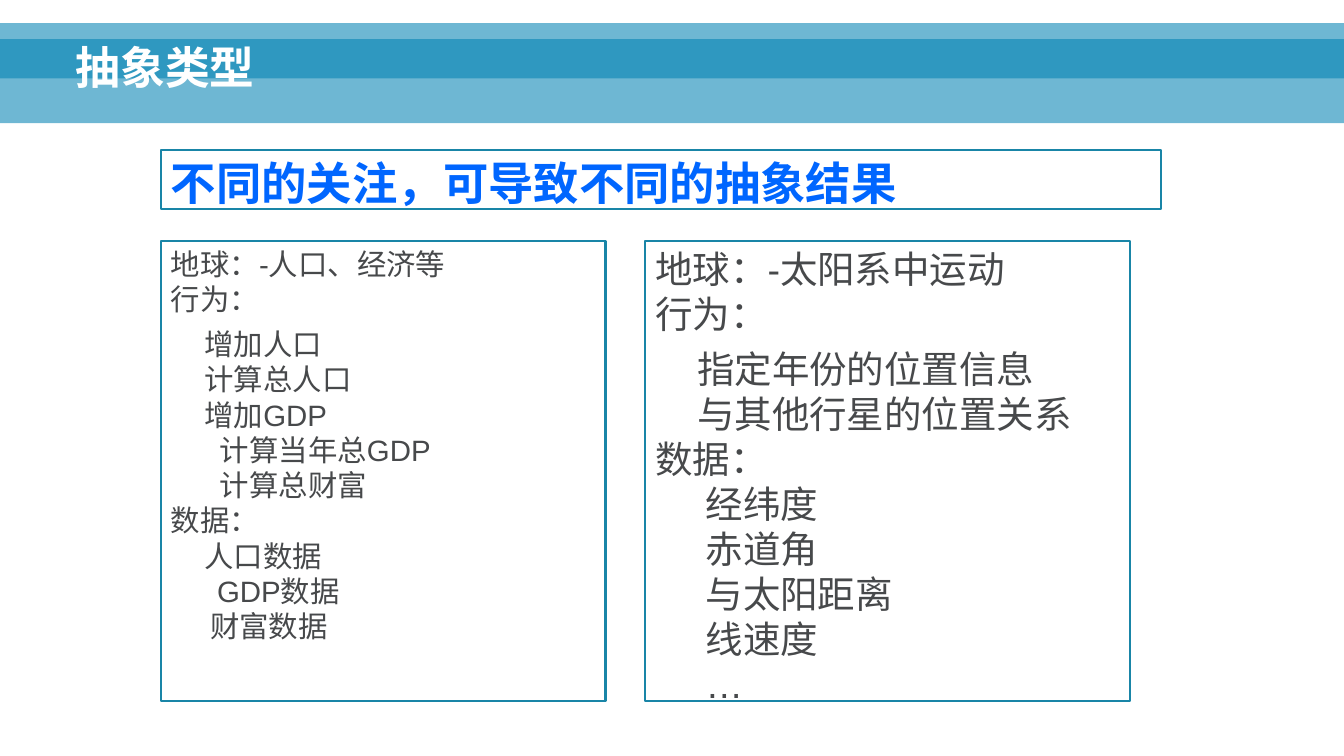
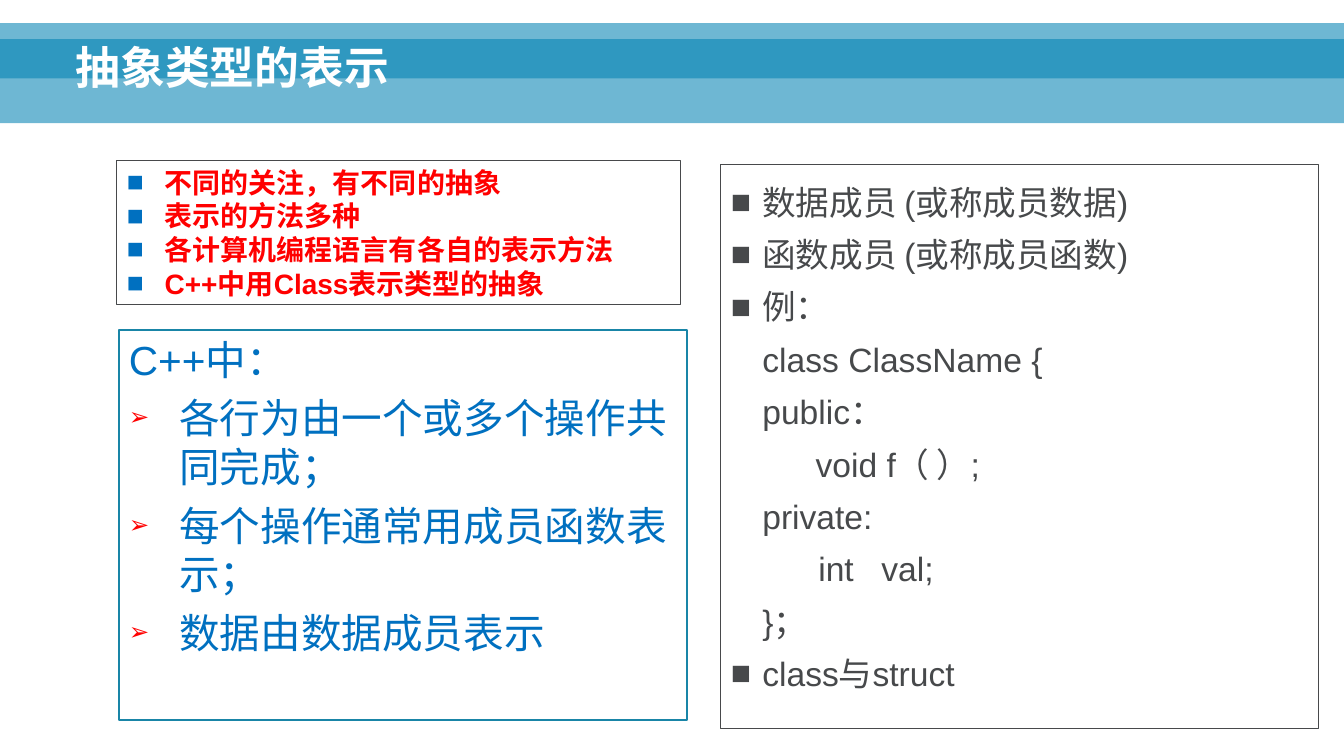
from lxml.etree import SubElement
from pptx import Presentation
from pptx.dml.color import RGBColor
from pptx.enum.shapes import MSO_SHAPE
from pptx.enum.text import MSO_ANCHOR
from pptx.oxml.ns import qn
from pptx.util import Pt

FONT = "Arial"
BAND = "0082B3"
WHITE = "FFFFFF"
TEAL = "1985A7"
GREY = "47494B"
BLUE = "0070C0"
BRIGHT = "0066FF"
RED = "FF0000"
WIDTH, HEIGHT = 960, 540


def rgb(value):
    return RGBColor.from_string(value)


def add_band(s, top, height):
    sp = s.shapes.add_shape(MSO_SHAPE.RECTANGLE, 0, Pt(top), Pt(WIDTH), Pt(height))
    sp.shadow.inherit = False
    sp.line.fill.background()
    sp.fill.solid()
    sp.fill.fore_color.rgb = rgb(BAND)
    color = sp.fill._xPr.find(qn("a:solidFill"))[0]
    SubElement(color, qn("a:alpha"), val="57000")


def add_box(s, box, line=None, weight=1.5):
    sp = s.shapes.add_textbox(*[Pt(v) for v in box])
    sp.text_frame.word_wrap = True
    if line:
        sp.line.color.rgb = rgb(line)
        sp.line.width = Pt(weight)
    return sp.text_frame


def add_run(p, text, size, color, bold=False, spacing=0):
    r = p.add_run()
    r.text = text
    r.font.name = FONT
    r.font.size = Pt(size)
    r.font.bold = bold
    r.font.color.rgb = rgb(color)
    if spacing:
        r._r.get_or_add_rPr().set("spc", str(spacing * 100))


def add_paragraph(tf, indent=0, before=0, spacing=None):
    p = tf.paragraphs[0] if not tf.paragraphs[0].runs else tf.add_paragraph()
    p.space_before = Pt(before)
    if spacing:
        p.line_spacing = spacing
    p._p.get_or_add_pPr().set("marL", str(Pt(indent)))
    return p


def add_bullet(p, char, hang, color=None, percent=100):
    pPr = p._p.get_or_add_pPr()
    pPr.set("indent", str(-Pt(hang)))
    if color:
        SubElement(SubElement(pPr, qn("a:buClr")), qn("a:srgbClr"), val=color)
    SubElement(pPr, qn("a:buSzPct"), val=str(percent * 1000))
    SubElement(pPr, qn("a:buFont"), typeface=FONT)
    SubElement(pPr, qn("a:buChar"), char=char)


def add_titled_slide(prs, title):
    s = prs.slides.add_slide(prs.slide_layouts[6])
    add_band(s, 28, 60)
    add_band(s, 16.5, 39.5)
    tf = add_box(s, (46.8, 8.6, 862.5, 62.6))
    tf.vertical_anchor = MSO_ANCHOR.BOTTOM
    add_run(add_paragraph(tf, spacing=0.9), title, 32, WHITE, True)
    return s


def add_headline(s, box, text):
    tf = add_box(s, box, TEAL)
    add_run(add_paragraph(tf, before=7), text, 32.4, BRIGHT, True)


def add_abstraction(s, box, size, head, lines):
    tf = add_box(s, box, TEAL)
    add_run(add_paragraph(tf, before=7), head, size, GREY)
    add_run(add_paragraph(tf), "行为：", size, GREY)
    for i, (indent, text) in enumerate(lines):
        p = add_paragraph(tf, indent, 0 if i else 7)
        add_run(p, text, size, GREY)


def add_key_points(s, box, points):
    tf = add_box(s, box, GREY, 0.75)
    for text in points:
        p = add_paragraph(tf, 27)
        add_bullet(p, "■", 27, BLUE)
        add_run(p, text, 20, RED, True)


def add_language_notes(s, box, head, notes):
    tf = add_box(s, box, TEAL)
    add_run(add_paragraph(tf, before=7), head, 29, BLUE)
    for text in notes:
        p = add_paragraph(tf, 36, 7)
        add_bullet(p, "➢", 36, RED, 60)
        add_run(p, text, 29, BLUE)


def add_class_outline(s, box, lines):
    hang = 22.5
    tf = add_box(s, box, GREY, 0.75)
    for indent, *parts in lines:
        p = add_paragraph(tf, hang + (indent or 0), spacing=1.3)
        if indent is None:
            add_bullet(p, "■", hang)
        for text in parts:
            add_run(p, text, 24, GREY, spacing=0 if text.strip() else 13)


def build_abstract_types(prs):
    s = add_titled_slide(prs, "抽象类型")
    add_headline(s, (115, 107, 714.5, 42.5), "不同的关注，可导致不同的抽象结果")
    add_abstraction(s, (115, 172, 317.5, 329), 21, "地球：-人口、经济等", [
        (24, "增加人口"), (24, "计算总人口"), (24, "增加GDP"),
        (35, "计算当年总GDP"), (35, "计算总财富"), (0, "数据："),
        (24, "人口数据"), (33, "GDP数据"), (28, "财富数据")])
    add_abstraction(s, (461, 172, 346.5, 329), 26.8, "地球：-太阳系中运动", [
        (30, "指定年份的位置信息"), (30, "与其他行星的位置关系"),
        (0, "数据："), (36, "经纬度"), (36, "赤道角"),
        (36, "与太阳距离"), (36, "线速度"), (36, "…")])


def build_type_notation(prs):
    s = add_titled_slide(prs, "抽象类型的表示")
    add_key_points(s, (83.5, 114.5, 402.5, 103), [
        "不同的关注，有不同的抽象", "表示的方法多种",
        "各计算机编程语言有各自的表示方法", "C++中用Class表示类型的抽象"])
    add_language_notes(s, (85, 235.5, 405.5, 278.5), "C++中：", [
        "各行为由一个或多个操作共同完成；", "每个操作通常用成员函数表示；",
        "数据由数据成员表示"])
    add_class_outline(s, (515, 117.5, 427, 403), [
        (None, "数据成员 (或称成员数据)"), (None, "函数成员 (或称成员函数)"),
        (None, "例："), (0, "class ClassName {"), (0, "public："),
        (38, "void f（ ）;"), (0, "private:"), (40, "int", " ", "val;"),
        (0, "}；"), (None, "class与struct")])


def main():
    prs = Presentation()
    prs.slide_width, prs.slide_height = Pt(WIDTH), Pt(HEIGHT)
    build_abstract_types(prs)
    build_type_notation(prs)
    prs.save("out.pptx")


if __name__ == "__main__":
    main()
